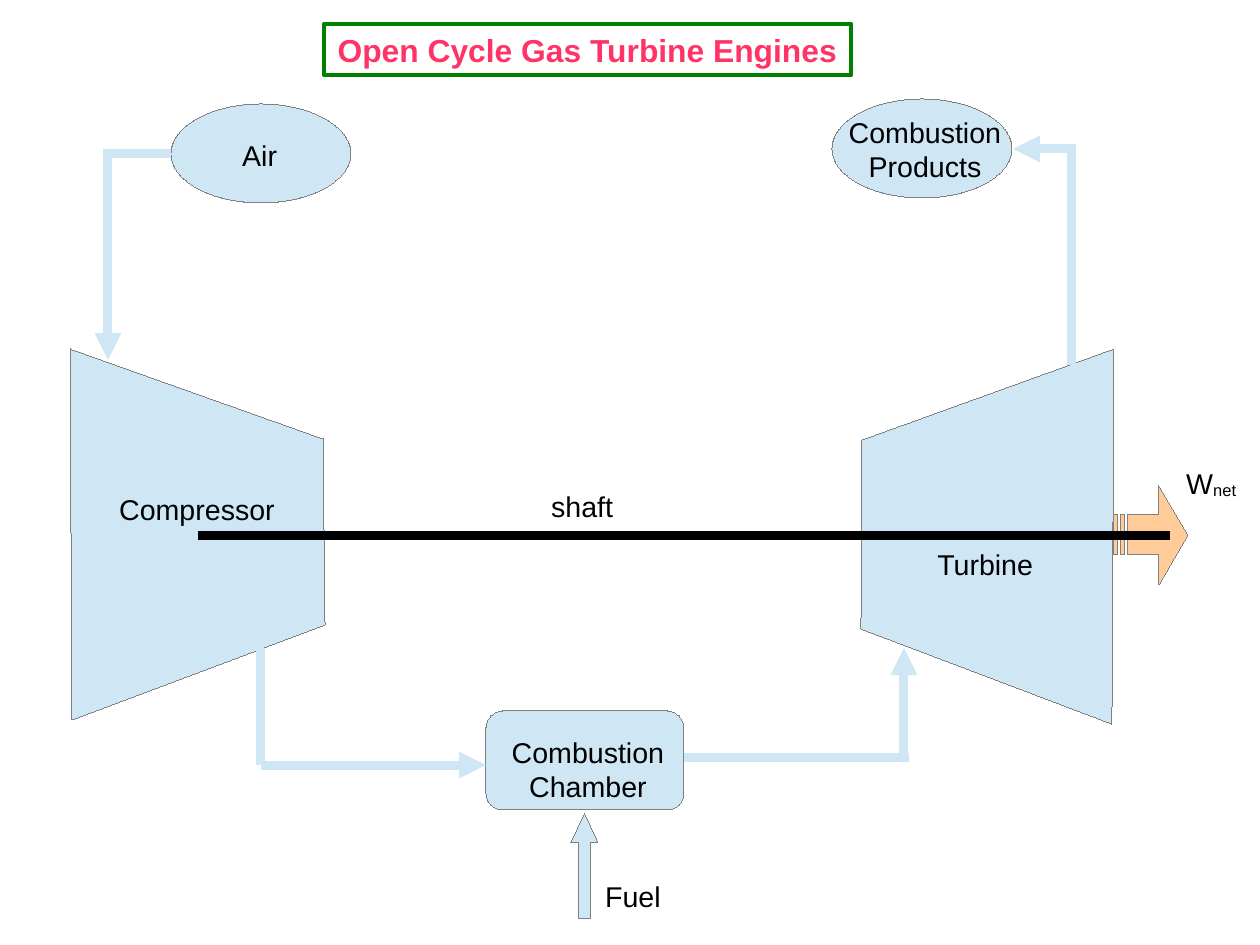
from lxml.etree import SubElement
from pptx import Presentation
from pptx.dml.color import RGBColor
from pptx.enum.shapes import MSO_CONNECTOR, MSO_SHAPE
from pptx.enum.text import MSO_ANCHOR, MSO_AUTO_SIZE, PP_ALIGN
from pptx.oxml.ns import qn
from pptx.util import Emu, Pt

PX = 8000  # EMU per px
WIDTH, HEIGHT = 1260, 945
FONT = "Arial"
HAIRLINE = Emu(1)
COLORS = {"part": "CFE7F5", "outline": "808080", "work": "FFCC99", "text": "000000",
          "shaft": "000000", "title": "FF3366", "frame": "008000"}

TITLE = "Open Cycle Gas Turbine Engines"
TITLE_PLACE = (324, 24, 527, 51)

# Each outline is a list of closed contours
TURBINE = [[(1114, 349), (1112, 724), (861, 629), (862, 440)]]
COMPRESSOR = [[(72, 720), (70, 349), (323, 439), (325, 625)]]
WORK_ARROW = [[(1159, 486), (1188, 535), (1159, 585), (1159, 555),
               (1128, 555), (1128, 515), (1159, 515)]]
WORK_ARROW += [[(x, 515), (x, 555), (x + 4, 555), (x + 4, 515)] for x in (1114, 1121)]
OUTLINES = [(TURBINE, "part"), (COMPRESSOR, "part"), (WORK_ARROW, "work")]

# preset, place, adjustments
PARTS = [
    (MSO_SHAPE.ROUNDED_RECTANGLE, (486, 711, 198, 99), [0.17]),
    (MSO_SHAPE.OVAL, (171, 104, 180, 99), []),
    (MSO_SHAPE.OVAL, (832, 99, 180, 99), []),
    (MSO_SHAPE.UP_ARROW, (571, 813, 27, 105), [0.45, 1.08]),
]

# lines, subscript, place
LABELS = [
    (["Turbine"], "", (926, 541, 122, 43)),
    (["Compressor"], "", (108, 486, 182, 43)),
    (["Combustion", "Chamber"], "", (499, 729, 178, 75)),
    (["Fuel"], "", (594, 873, 80, 43)),
    (["W"], "net", (1175, 460, 81, 53)),
    (["shaft"], "", (540, 483, 88, 43)),
    (["Air"], "", (231, 132, 62, 43)),
    (["Combustion", "Products"], "", (836, 109, 178, 75)),
]

# start, end, color, arrow at the end
LINES = [
    ((198, 536), (1170, 536), "shaft", False),
    ((171, 153), (107, 153), "part", False),
    ((108, 149), (108, 360), "part", True),
    ((1071, 365), (1071, 144), "part", False),
    ((1071, 149), (1013, 149), "part", True),
    ((261, 648), (261, 765), "part", False),
    ((261, 765), (486, 765), "part", True),
    ((684, 758), (909, 758), "part", False),
    ((904, 756), (904, 648), "part", True),
]


def rgb(name):
    return RGBColor.from_string(COLORS[name])


def px(values):
    return [Emu(value * PX) for value in values]


def paint(shape, fill):
    shape.shadow.inherit = False
    shape.fill.solid()
    shape.fill.fore_color.rgb = rgb(fill)
    shape.line.color.rgb = rgb("outline")
    shape.line.width = HAIRLINE


def write(para, text, size=18, color="text", bold=False, baseline=None):
    span = para.add_run()
    span.text = text
    span.font.name = FONT
    span.font.size = Pt(size)
    span.font.bold = bold
    span.font.color.rgb = rgb(color)
    if baseline:
        span.font._element.set("baseline", str(baseline))


def add_title(page):
    box = page.shapes.title
    box.left, box.top, box.width, box.height = px(TITLE_PLACE)
    box.line.color.rgb = rgb("frame")
    box.line.width = Pt(2.83)
    frame = box.text_frame
    frame.margin_left = frame.margin_right = Emu(8 * PX)
    frame.margin_top = frame.margin_bottom = Emu(4 * PX)
    frame.vertical_anchor = MSO_ANCHOR.MIDDLE
    frame.word_wrap = False
    frame.auto_size = MSO_AUTO_SIZE.NONE
    para = frame.paragraphs[0]
    para.alignment = PP_ALIGN.CENTER
    write(para, TITLE, size=20, color="title", bold=True)


def add_outline(page, contours, fill):
    builder = page.shapes.build_freeform(*contours[0][0], scale=PX)
    for index, (start, *rest) in enumerate(contours):
        if index:
            builder.move_to(*start)
        builder.add_line_segments(rest, close=True)
    paint(builder.convert_to_shape(), fill)


def add_part(page, preset, place, adjustments):
    shape = page.shapes.add_shape(preset, *px(place))
    for index, value in enumerate(adjustments):
        shape.adjustments[index] = value
    paint(shape, "part")


def add_label(page, lines, subscript, place):
    frame = page.shapes.add_textbox(*px(place)).text_frame
    frame.word_wrap = True
    frame.auto_size = MSO_AUTO_SIZE.SHAPE_TO_FIT_TEXT
    for index, line in enumerate(lines):
        para = frame.add_paragraph() if index else frame.paragraphs[0]
        if len(lines) > 1:
            para.alignment = PP_ALIGN.CENTER
        write(para, line)
    if subscript:
        write(para, subscript, baseline=-8000)


def add_line(page, start, end, color, arrow):
    line = page.shapes.add_connector(MSO_CONNECTOR.STRAIGHT, *px(start + end))
    line.line.color.rgb = rgb(color)
    line.line.width = Pt(5.67)
    if arrow:
        SubElement(line.line._get_or_add_ln(), qn("a:tailEnd"), type="triangle")
    SubElement(line._element.spPr, qn("a:effectLst"))


def main():
    deck = Presentation()
    deck.slide_width, deck.slide_height = px((WIDTH, HEIGHT))
    page = deck.slides.add_slide(deck.slide_layouts[5])
    add_title(page)
    for adder, rows in ((add_outline, OUTLINES), (add_part, PARTS),
                        (add_label, LABELS), (add_line, LINES)):
        for row in rows:
            adder(page, *row)
    deck.save("out.pptx")


if __name__ == "__main__":
    main()
